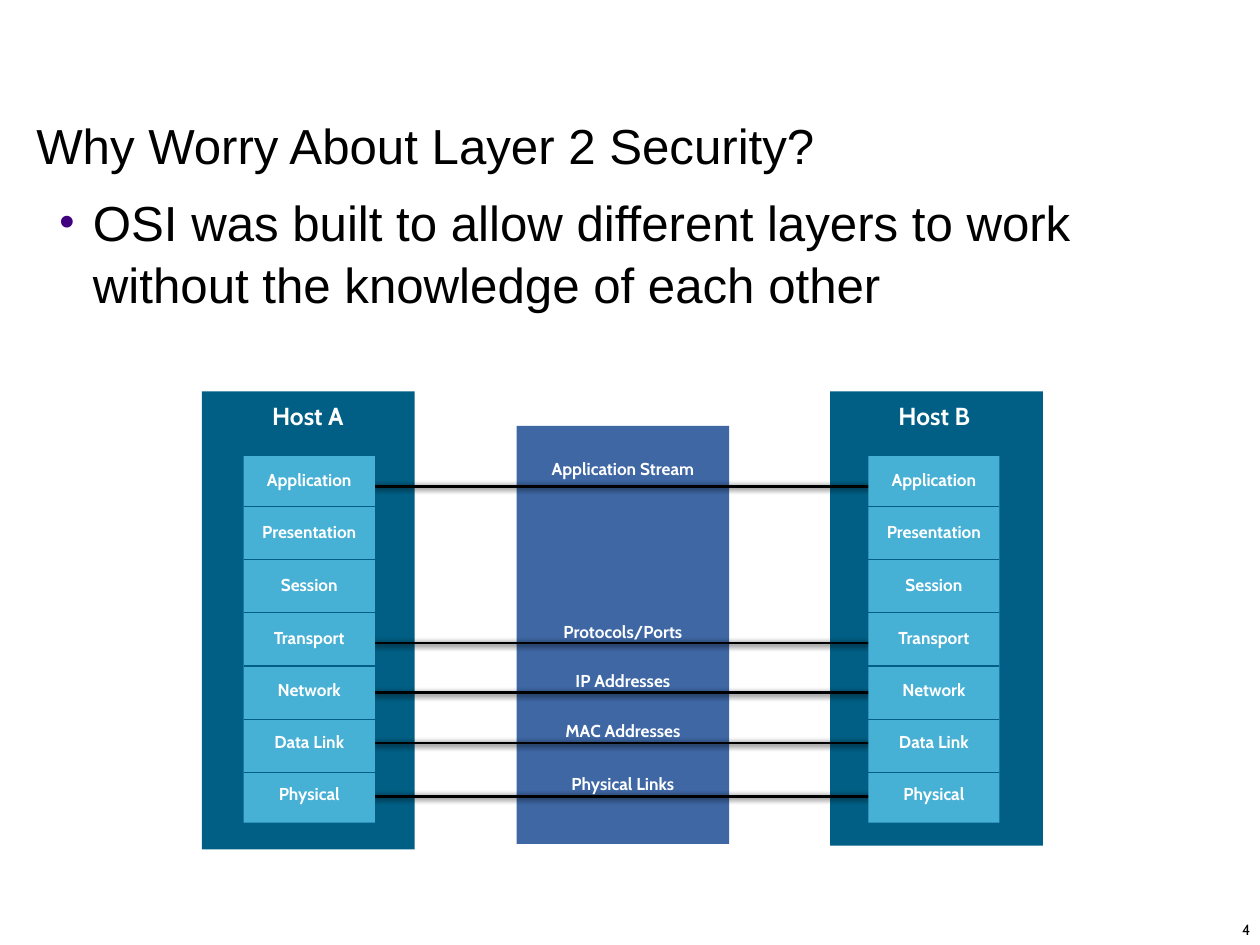
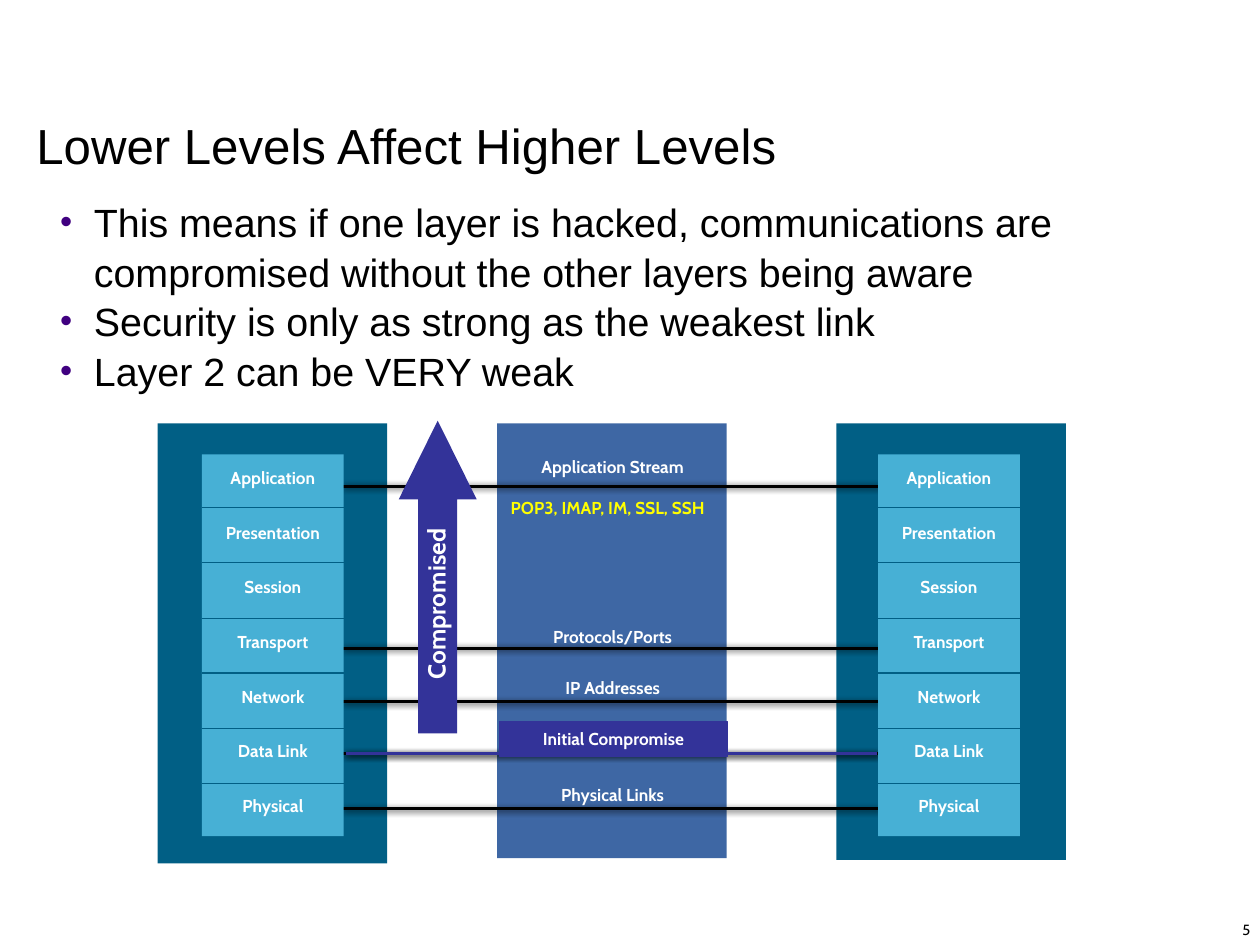
from lxml import etree
from pptx import Presentation
from pptx import util as u
from pptx.dml.color import RGBColor
from pptx.enum import shapes, text
from pptx.oxml import ns

SCALE = 9144
HUES = {
    "ink": "000000", "white": "FFFFFF", "bullet": "400080", "host": "015F85",
    "layer": "47B0D5", "middle": "3E67A4", "alert": "333399", "note": "FFFF00",
}
LAYERS = ["Application", "Presentation", "Session", "Transport",
          "Network", "Data Link", "Physical"]
KIND = shapes.MSO_SHAPE
LEFT, CENTER = text.PP_ALIGN.LEFT, text.PP_ALIGN.CENTER
TOP, MIDDLE, BOTTOM = (text.MSO_ANCHOR.TOP, text.MSO_ANCHOR.MIDDLE,
                       text.MSO_ANCHOR.BOTTOM)


def px(n):
    return u.Emu(round(n) * SCALE)


def hue(name):
    return RGBColor.from_string(HUES[name])


def add(parent, tag, **attrs):
    node = etree.SubElement(parent, ns.qn(tag))
    for key, value in attrs.items():
        node.set(key, str(value))
    return node


class Deck:
    def __init__(self, wide, high):
        self.prs = Presentation()
        self.prs.slide_width, self.prs.slide_height = px(wide), px(high)

    def start(self, title, number):
        self.slide = self.prs.slides.add_slide(self.prs.slide_layouts[6])
        self.words((35, 0, 1354, 203), [title], 40, "ink", face="Arial",
                   align=LEFT, anchor=BOTTOM, inset=(6, 6))
        self.words((1392, 1035, 29, 31), [str(number)], 12, "ink", inset=(0, 5))

    def fill(self, frame, lines, size, color, face="Cabin", bold=False,
             align=CENTER, anchor=TOP, inset=(6, 3), space=None, bullet=False):
        frame.word_wrap = True
        frame.vertical_anchor = anchor
        frame.margin_left = frame.margin_right = px(inset[0])
        frame.margin_top = frame.margin_bottom = px(inset[1])
        for i, line in enumerate(lines):
            para = frame.add_paragraph() if i else frame.paragraphs[0]
            para.text = line
            para.alignment = align
            if space:
                para.line_spacing = space
            if bullet:
                self.mark(para)
            font = para.font
            font.name, font.size, font.bold = face, u.Pt(size), bold
            font.color.rgb = hue(color)

    def mark(self, para):
        props = para._p.get_or_add_pPr()
        props.set("marL", str(px(38)))
        props.set("indent", str(-px(38)))
        add(add(props, "a:buClr"), "a:srgbClr", val=HUES["bullet"])
        add(props, "a:buSzPct", val=88000)
        add(props, "a:buFont", typeface="Arial")
        add(props, "a:buChar", char="•")

    def words(self, box, lines, size, color, turn=0, **style):
        area = self.slide.shapes.add_textbox(*map(px, box))
        area.rotation = turn
        self.fill(area.text_frame, lines, size, color, **style)

    def label(self, box, line, size=14, color="white", **style):
        self.words(box, [line], size, color, bold=True, **style)

    def points(self, box, lines, size):
        self.words(box, lines, size, "ink", face="Arial", align=LEFT,
                   inset=(6, 6), space=1.05, bullet=True)

    def shape(self, box, color, kind=KIND.RECTANGLE):
        form = self.slide.shapes.add_shape(kind, *map(px, box))
        form.shadow.inherit = False
        form.fill.solid()
        form.fill.fore_color.rgb = hue(color)
        form.line.fill.background()
        return form

    def line(self, left, right, y, color, width, shadow=False):
        rule = self.slide.shapes.add_connector(
            shapes.MSO_CONNECTOR.STRAIGHT, px(left), px(y), px(right), px(y))
        rule.line.color.rgb = hue(color)
        rule.line.width = u.Pt(width)
        effect = add(rule._element.spPr, "a:effectLst")
        if shadow:
            cast = add(effect, "a:outerShdw", blurRad=u.Pt(5), dist=u.Pt(1.4),
                       dir=2700000, algn="ctr", rotWithShape=0)
            add(add(cast, "a:srgbClr", val=HUES["ink"]), "a:alpha", val=75000)

    def links(self, left, right, rows, color="ink"):
        for y in rows:
            self.line(left, right, y, color, 2.25, shadow=True)

    def names(self, left, width, rows):
        for name, y in rows.items():
            self.label((left, y, width, 32), name, inset=(8, 4))

    def stack(self, box, first, pitch, cut, gap):
        left, _, width, _ = box
        self.shape(box, "layer")
        for i, name in enumerate(LAYERS):
            self.label((left, first + pitch * i, width, 30), name)
        for i in range(len(LAYERS) - 1):
            self.line(left, left + width, cut + gap * i, "host", 1)


def trust(deck):
    deck.start("Why Worry About Layer 2 Security?", 4)
    deck.points((61, 208, 1326, 158), [
        "OSI was built to allow different layers to work "
        "without the knowledge of each other"], 40)
    deck.shape((583, 481, 240, 472), "middle")
    for name, left, high, mid in (("Host A", 228, 517, 289),
                                  ("Host B", 937, 513, 996)):
        deck.shape((left, 442, 240, high), "host")
        deck.label((mid, 450, 117, 40), name, 20)
    deck.links(420, 981, (899, 839, 782, 726, 549))
    deck.names(584, 238, {
        "Application Stream": 513, "Protocols/Ports": 697,
        "IP Addresses": 753, "MAC Addresses": 809, "Physical Links": 869})
    for left in (980, 275):
        deck.stack((left, 515, 148, 414), 527, 59.25, 572, 60)


def breach(deck):
    deck.start("Lower Levels Affect Higher Levels", 5)
    deck.points((62, 215, 1326, 218), [
        "This means if one layer is hacked, communications are "
        "compromised without the other layers being aware",
        "Security is only as strong as the weakest link",
        "Layer 2 can be VERY weak"], 32)
    deck.shape((561, 478, 259, 491), "middle")
    for left, high in ((178, 497), (944, 493)):
        deck.shape((left, 478, 259, high), "host")
    deck.label((558, 560, 256, 52), "POP3, IMAP, IM, SSL, SSH",
               color="note", inset=(9, 4), space=0.9)
    deck.links(386, 992, (913, 851, 792, 732, 549))
    deck.links(390, 990, (851,), "alert")
    deck.names(563, 257, {
        "Application Stream": 511, "Protocols/Ports": 703,
        "IP Addresses": 761, "Physical Links": 882})
    start = deck.shape((564, 815, 257, 39), "alert")
    start.line.color.rgb = hue("alert")
    start.line.width = u.Pt(0.75)
    deck.fill(start.text_frame, ["Initial Compromise"], 14, "white",
              bold=True, anchor=MIDDLE, inset=(8, 4))
    arrow = deck.shape((450, 475, 88, 353), "alert", KIND.UP_ARROW)
    arrow.adjustments[0], arrow.adjustments[1] = 0.5, 1.01
    deck.label((361, 661, 262, 42), "Compromised", 20, turn=270, inset=(8, 4))
    for left in (228, 991):
        deck.stack((left, 513, 160, 431), 525, 61.67, 573, 62.4)


def main():
    deck = Deck(1422, 1067)
    trust(deck)
    breach(deck)
    deck.prs.save("out.pptx")


if __name__ == "__main__":
    main()
